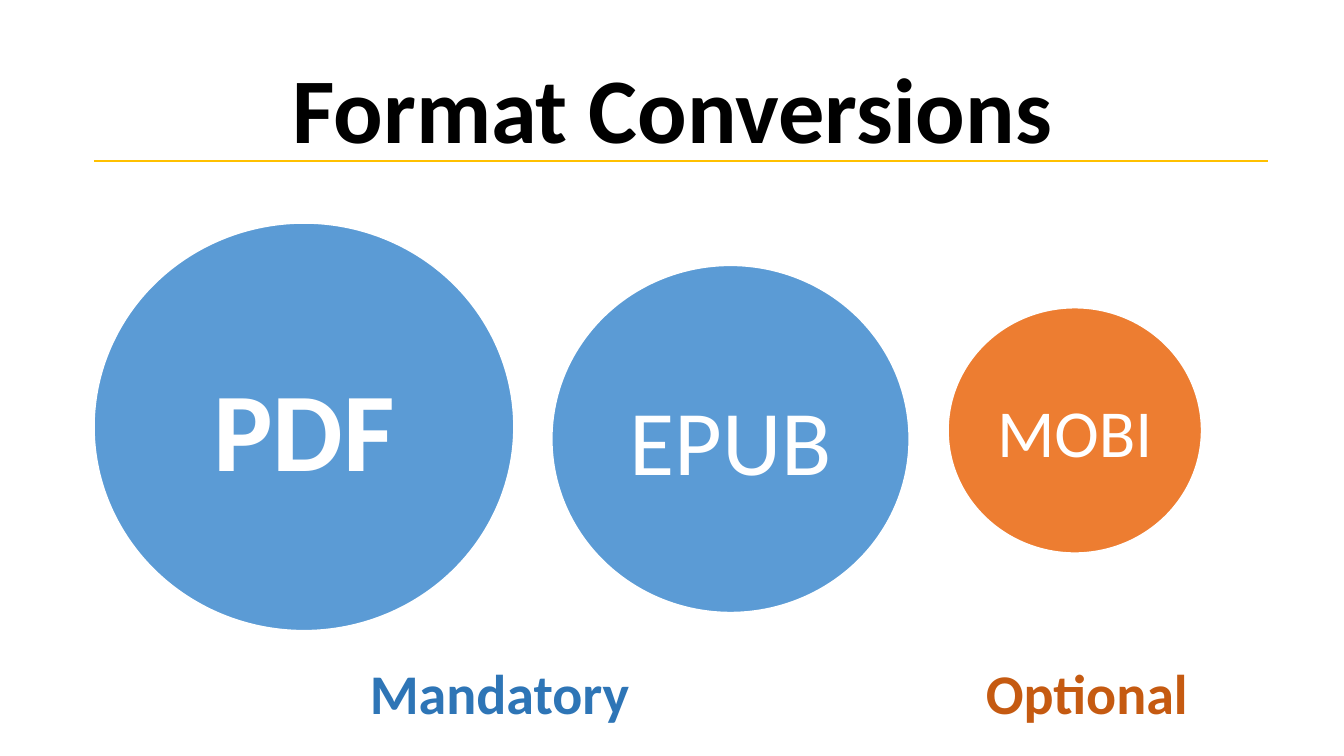
"""Build the Format Conversions slide."""
import pptx
import pptx.dml.color
import pptx.enum.shapes
import pptx.enum.text
import pptx.oxml.ns
import pptx.util
from lxml import etree

Inches = pptx.util.Inches
RGBColor = pptx.dml.color.RGBColor
Alignment = pptx.enum.text.PP_ALIGN
Anchor = pptx.enum.text.MSO_ANCHOR

BLACK = RGBColor(0x00, 0x00, 0x00)
WHITE = RGBColor(0xFF, 0xFF, 0xFF)
GOLD = RGBColor(0xFF, 0xC0, 0x00)
BLUE = RGBColor(0x5B, 0x9B, 0xD5)
ORANGE = RGBColor(0xED, 0x7D, 0x31)
DARK_BLUE = RGBColor(0x2E, 0x75, 0xB6)
DARK_ORANGE = RGBColor(0xC5, 0x5A, 0x11)


class SlideBuilder:
    font_name = "Calibri"
    line_width = pptx.util.Pt(1.5)

    def __init__(self, presentation):
        self.slide = presentation.slides.add_slide(presentation.slide_layouts[5])

    def set_text(self, shape, text, size, color, bold, alignment, frame_format):
        frame = shape.text_frame
        for name, value in frame_format.items():
            setattr(frame, name, value)
        paragraph = frame.paragraphs[0]
        paragraph.alignment = alignment
        run = paragraph.add_run()
        run.text = text
        font_format = {"name": self.font_name, "size": pptx.util.Pt(size), "bold": bold}
        for name, value in font_format.items():
            setattr(run.font, name, value)
        run.font.color.rgb = color
        return paragraph

    def title(self, text, left, top, width, height):
        shape = self.slide.shapes.title
        position = {"left": left, "top": top, "width": width, "height": height}
        for name, value in position.items():
            setattr(shape, name, Inches(value))
        frame_format = {
            "word_wrap": True,
            "vertical_anchor": Anchor.MIDDLE,
            "auto_size": pptx.enum.text.MSO_AUTO_SIZE.NONE,
        }
        paragraph = self.set_text(shape, text, 66, BLACK, True, Alignment.CENTER, frame_format)
        paragraph.line_spacing = 0.9

    def rule(self, left, right, top):
        connector = self.slide.shapes.add_connector(
            pptx.enum.shapes.MSO_CONNECTOR.STRAIGHT,
            Inches(left), Inches(top), Inches(right), Inches(top),
        )
        connector.line.color.rgb = GOLD
        connector.line.width = self.line_width
        properties = connector._element.spPr
        etree.SubElement(properties, pptx.oxml.ns.qn("a:effectLst"))

    def ellipse(self, text, left, top, width, height, fill, size, bold):
        shape = self.slide.shapes.add_shape(
            pptx.enum.shapes.MSO_SHAPE.OVAL,
            Inches(left), Inches(top), Inches(width), Inches(height),
        )
        shape.shadow.inherit = False
        shape.fill.solid()
        shape.fill.fore_color.rgb = fill
        shape.line.color.rgb = WHITE
        shape.line.width = self.line_width
        frame_format = {"word_wrap": True, "vertical_anchor": Anchor.MIDDLE}
        self.set_text(shape, text, size, WHITE, bold, Alignment.CENTER, frame_format)

    def label(self, text, left, width, color, wrap):
        shape = self.slide.shapes.add_textbox(
            Inches(left), Inches(6.48), Inches(width), Inches(0.77)
        )
        frame_format = {
            "word_wrap": wrap,
            "auto_size": pptx.enum.text.MSO_AUTO_SIZE.SHAPE_TO_FIT_TEXT,
        }
        self.set_text(shape, text, 40, color, True, Alignment.LEFT, frame_format)


def main():
    presentation = pptx.Presentation()
    presentation.slide_width = Inches(13.33)
    presentation.slide_height = Inches(7.5)
    builder = SlideBuilder(presentation)
    builder.title("Format Conversions", 0.92, 0.4, 11.5, 1.45)
    builder.rule(0.93, 12.58, 1.6)
    for circle in (
        ("PDF", 0.93, 2.21, 4.17, 4.05, BLUE, 80, True),
        ("EPUB", 5.47, 2.63, 3.55, 3.45, BLUE, 66, False),
        ("MOBI", 9.4, 3.05, 2.52, 2.44, ORANGE, 48, False),
    ):
        builder.ellipse(*circle)
    builder.label("Mandatory", 3.57, 3.06, DARK_BLUE, True)
    builder.label("Optional", 9.68, 2.23, DARK_ORANGE, False)
    presentation.save("out.pptx")


if __name__ == "__main__":
    main()
